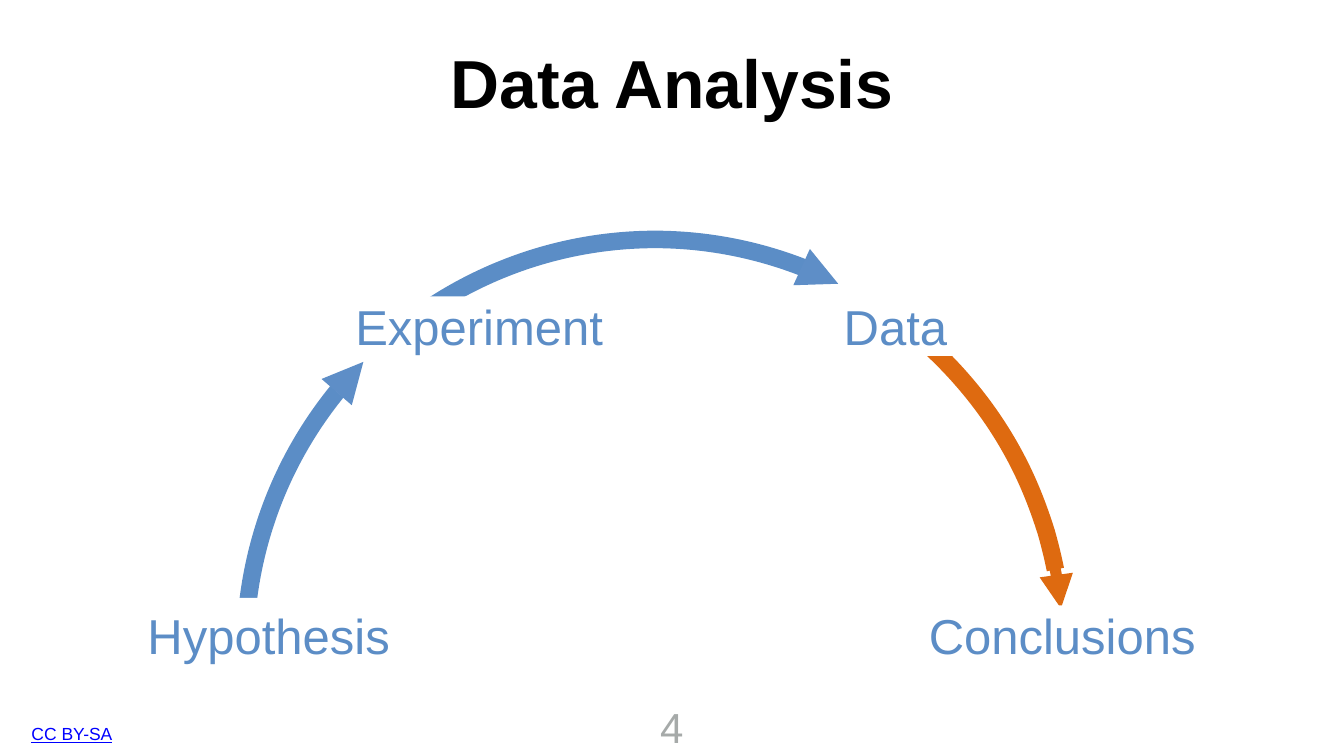
from typing import NamedTuple

from lxml.etree import SubElement
from pptx import Presentation
from pptx.dml.color import RGBColor
from pptx.enum.shapes import MSO_SHAPE
from pptx.enum.text import MSO_ANCHOR, MSO_AUTO_SIZE, PP_ALIGN
from pptx.oxml.ns import qn
from pptx.util import Pt

HUES = {
    "white": "FFFFFF", "black": "000000", "link": "0000FF", "gray": "A6AAA9",
    "text": "5C8DC6", "arc": "5B8DC6", "head": "5E8EC7", "orange": "DE6A10",
}


class Box(NamedTuple):
    left: float
    top: float
    width: float
    height: float


class Label(NamedTuple):
    text: str
    box: Box


class Head(NamedTuple):
    """Arrowhead triangle with the square that masks the arc behind it."""
    mask: Box
    turn: float
    tips: list


# Each arc is a start point, then three Bézier knots per piece.
BLUE = [(353.5, 866.2), (385.9, 569.5), (635.8, 343.4), (934.6, 342),
        (1009.4, 342), (1081.4, 356.4), (1147.7, 382.3)]
THIN = [(1326.2, 493.2), (1378.1, 540.7), (1422, 596.9), (1454.4, 660.2),
        (1486.8, 724.3), (1508.4, 794.2), (1515.6, 869)]
THICK = THIN[:4] + [(1471, 692.6), (1483.9, 725.8), (1494.7, 760.3),
                    (1499.8, 778.3), (1504.1, 795.6), (1507.7, 813.6)]
HEADS = [
    Head(Box(1142.6, 358.6, 82, 82), 114.9,
         [(1197.4, 405.4), (1133.3, 407.5), (1157, 355.7)]),
    Head(Box(468, 488.2, 82, 82), 41.5,
         [(519.1, 517), (502.6, 578.9), (459.4, 541.4)]),
]
LABELS = [
    Label("Conclusions", Box(1276.5, 865, 481.7, 85)),
    Label("Hypothesis", Box(162, 854, 443.5, 107.3)),
    Label("Experiment", Box(455.8, 423.4, 457.2, 85)),
    Label("Data", Box(1170, 423.4, 218.2, 85)),
]


def hue(name: str) -> RGBColor:
    return RGBColor.from_string(HUES[name])


def paint(shape, name: str) -> None:
    """Give a shape a plain fill, with no outline or shadow."""
    shape.shadow.inherit = False
    shape.fill.solid()
    shape.fill.fore_color.rgb = hue(name)
    shape.line.fill.background()


def write(shape, text: str, color: str, inset: float, size: float,
          wrap: bool = True, anchor=MSO_ANCHOR.MIDDLE, **style) -> None:
    frame = shape.text_frame
    pad = Pt(inset)
    form = {"word_wrap": wrap, "vertical_anchor": anchor,
            "auto_size": MSO_AUTO_SIZE.NONE if wrap
            else MSO_AUTO_SIZE.SHAPE_TO_FIT_TEXT,
            "margin_left": pad, "margin_right": pad,
            "margin_top": pad, "margin_bottom": pad}
    for key, value in form.items():
        setattr(frame, key, value)
    line = frame.paragraphs[0]
    line.alignment = PP_ALIGN.CENTER
    run = line.add_run()
    run.text = text
    for key, value in {"name": "Arial", "size": Pt(size), **style}.items():
        setattr(run.font, key, value)
    run.font.color.rgb = hue(color)
    run._r.get_or_add_rPr().set("kern", "0")


def place(box: Box) -> list:
    return [Pt(value) for value in box]


def block(shapes, box: Box):
    shape = shapes.add_shape(MSO_SHAPE.RECTANGLE, *place(box))
    paint(shape, "white")
    return shape


def trace(shapes, dots: list, close: bool):
    first, *rest = [(Pt(x), Pt(y)) for x, y in dots]
    pen = shapes.build_freeform(*first)
    pen.add_line_segments(rest, close=close)
    return pen.convert_to_shape()


def bend(shape) -> None:
    """Turn every three line segments of an outline into one cubic curve."""
    route = shape._element.find(".//" + qn("a:path"))
    lines = route.findall(qn("a:lnTo"))
    for i in range(0, len(lines), 3):
        cubic = SubElement(route, qn("a:cubicBezTo"))
        for line in lines[i:i + 3]:
            cubic.append(line[0])
            route.remove(line)


def arc(shapes, knots: list, color: str, width: float, tail: bool = False) -> None:
    shape = trace(shapes, knots, False)
    bend(shape)
    shape.shadow.inherit = False
    shape.fill.background()
    shape.line.color.rgb = hue(color)
    shape.line.width = Pt(width)
    if tail:
        SubElement(shape.line._get_or_add_ln(), qn("a:tailEnd"), type="triangle")


def point(shapes, head: Head) -> None:
    group = shapes.add_group_shape().shapes
    block(group, head.mask).rotation = head.turn
    paint(trace(group, head.tips, True), "head")


def main() -> None:
    deck = Presentation()
    deck.slide_width, deck.slide_height = Pt(1920), Pt(1080)
    slide = deck.slides.add_slide(deck.slide_layouts[5])
    shapes = slide.shapes

    title = shapes.title
    title.left, title.top, title.width, title.height = place(
        Box(481, 21.6, 958.3, 188.6))
    write(title, "Data Analysis", "black", 4.3, 97, bold=True)

    arc(shapes, BLUE, "arc", 25)
    point(shapes, HEADS[0])
    pair = shapes.add_group_shape().shapes
    arc(pair, THIN, "orange", 16, tail=True)
    arc(pair, THICK, "orange", 25)
    point(shapes, HEADS[1])

    for label in LABELS:
        write(block(shapes, label.box), label.text, "text", 7.2, 70)

    rights = shapes.add_textbox(*place(Box(37.6, 1027.4, 130.3, 41.8)))
    write(rights, "CC BY-SA", "link", 5.8, 25, wrap=False, underline=True)
    number = shapes.add_textbox(*place(Box(920.2, 996, 79.2, 83.5)))
    write(number, "4", "gray", 5.8, 60, wrap=False, anchor=MSO_ANCHOR.TOP)

    deck.save("out.pptx")


if __name__ == "__main__":
    main()
